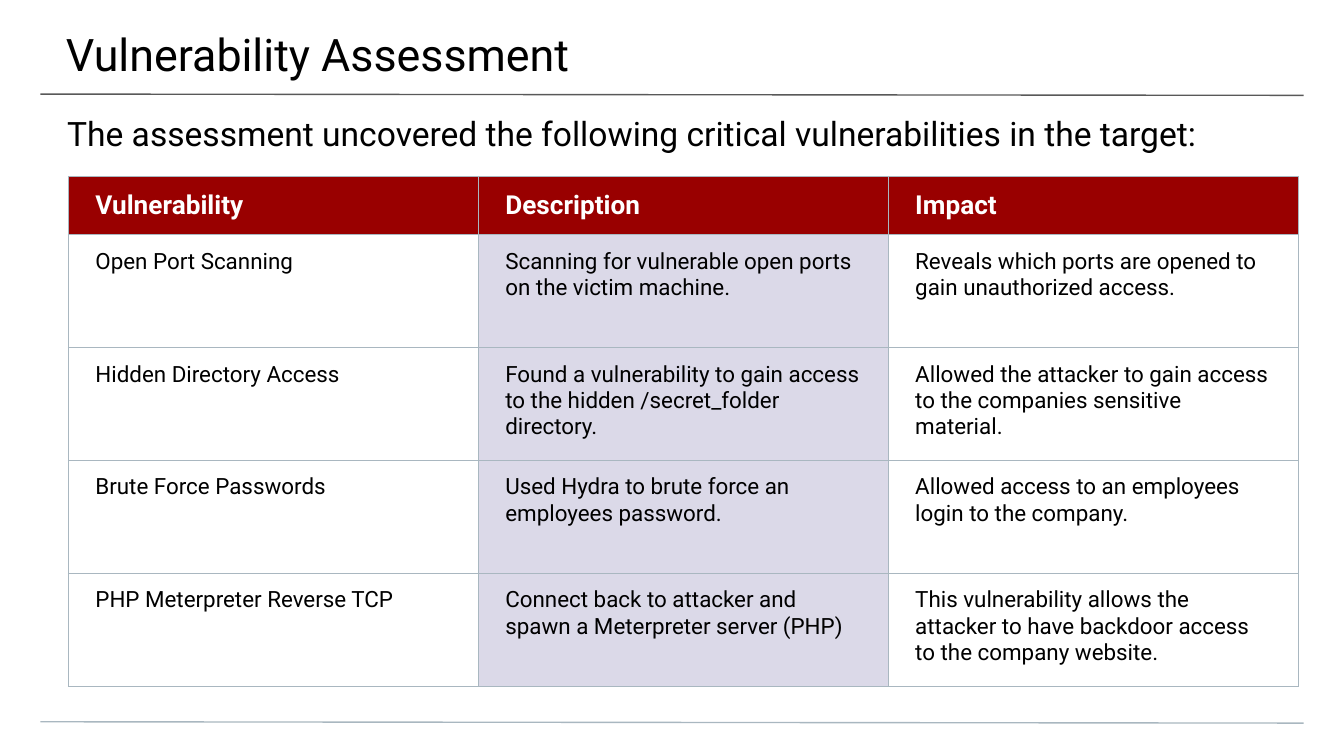
from typing import NamedTuple

from lxml.etree import SubElement
from pptx import Presentation
from pptx.dml.color import RGBColor
from pptx.enum.shapes import MSO_CONNECTOR
from pptx.enum.text import MSO_ANCHOR
from pptx.oxml.ns import qn
from pptx.slide import Slide
from pptx.table import _Cell
from pptx.text.text import _Paragraph
from pptx.util import Pt

FONT = "Roboto"
BLACK = "000000"
WHITE = "FFFFFF"
HEADER_RED = "990000"
LAVENDER = "DBD9E8"
RULE_GREY = "595959"
BORDER_GREY = "A9B7C0"
LINE_WIDTH = Pt(0.75)

COLUMN_WIDTH = 219.6
HEADER_HEIGHT = 31
ROW_HEIGHT = 60.5
DESCRIPTION_COLUMN = 1


class Heading(NamedTuple):
    text: str
    left: float
    top: float
    width: float
    height: float
    margins: tuple[float, float, float, float]
    size: float


class Rule(NamedTuple):
    top: float
    color: str


class Finding(NamedTuple):
    vulnerability: str
    description: str
    impact: str


HEADINGS = [
    Heading("Vulnerability Assessment", -0.7, 0, 722, 42, (36, 14.4, 21.6, 7.2), 24),
    Heading("The assessment uncovered the following critical vulnerabilities in the target:",
            0, 53.5, 720, 29, (36, 7.2, 36, 0), 18),
]
RULES = [Rule(50.4, RULE_GREY), Rule(386.7, BORDER_GREY)]
COLUMN_TITLES = Finding("Vulnerability", "Description", "Impact")
FINDINGS = [
    Finding("Open Port Scanning",
            "Scanning for vulnerable open ports on the victim machine.",
            "Reveals which ports are opened to gain unauthorized access."),
    Finding("Hidden Directory Access",
            "Found a vulnerability to gain access to the hidden /secret_folder directory.",
            "Allowed the attacker to gain access to the companies sensitive material."),
    Finding("Brute Force Passwords",
            "Used Hydra to brute force an employees password.",
            "Allowed access to an employees login to the company."),
    Finding("PHP Meterpreter Reverse TCP",
            "Connect back to attacker and spawn a Meterpreter server (PHP)",
            "This vulnerability allows the attacker to have backdoor access "
            "to the company website."),
]


def rgb(color: str) -> RGBColor:
    return RGBColor.from_string(color)


def write(paragraph: _Paragraph, text: str, size: float, color: str = BLACK,
          bold: bool = False) -> None:
    paragraph.text = text
    font = paragraph.font
    font.name, font.size, font.bold = FONT, Pt(size), bold
    font.color.rgb = rgb(color)


def draw_heading(slide: Slide, heading: Heading) -> None:
    box = slide.shapes.add_textbox(Pt(heading.left), Pt(heading.top),
                                   Pt(heading.width), Pt(heading.height))
    frame = box.text_frame
    frame.word_wrap = True
    frame.vertical_anchor = MSO_ANCHOR.TOP
    (frame.margin_left, frame.margin_top,
     frame.margin_right, frame.margin_bottom) = map(Pt, heading.margins)
    write(frame.paragraphs[0], heading.text, heading.size)


def draw_rule(slide: Slide, rule: Rule) -> None:
    """Draw a page-wide line that falls slightly to the right."""
    line = slide.shapes.add_connector(MSO_CONNECTOR.STRAIGHT, Pt(21.6), Pt(rule.top),
                                      Pt(698.4), Pt(rule.top + 0.7))
    line.line.color.rgb = rgb(rule.color)
    line.line.width = LINE_WIDTH
    SubElement(line._element.spPr, qn("a:effectLst"))


def add_borders(cell: _Cell) -> None:
    properties = cell._tc.get_or_add_tcPr()
    for side in ("lnL", "lnR", "lnT", "lnB"):
        border = SubElement(properties, qn(f"a:{side}"), w=str(LINE_WIDTH))
        fill = SubElement(border, qn("a:solidFill"))
        SubElement(fill, qn("a:srgbClr"), val=BORDER_GREY)


def format_cell(cell: _Cell, text: str, is_header: bool, fill_color: str | None) -> None:
    cell.margin_left = cell.margin_right = Pt(14.4)
    cell.margin_top = cell.margin_bottom = Pt(7.2)
    cell.vertical_anchor = MSO_ANCHOR.MIDDLE if is_header else MSO_ANCHOR.TOP
    add_borders(cell)
    if fill_color:
        cell.fill.solid()
        cell.fill.fore_color.rgb = rgb(fill_color)
    else:
        cell.fill.background()
    write(cell.text_frame.paragraphs[0], text, 14 if is_header else 12,
          WHITE if is_header else BLACK, is_header)


def draw_findings(slide: Slide, findings: list[Finding]) -> None:
    rows = [COLUMN_TITLES, *findings]
    column_count = len(COLUMN_TITLES)
    table = slide.shapes.add_table(
        len(rows), column_count, Pt(36.7), Pt(94.6), Pt(COLUMN_WIDTH * column_count),
        Pt(HEADER_HEIGHT + ROW_HEIGHT * len(findings))).table
    for column in table.columns:
        column.width = Pt(COLUMN_WIDTH)
    for row_index, texts in enumerate(rows):
        is_header = row_index == 0
        table.rows[row_index].height = Pt(HEADER_HEIGHT if is_header else ROW_HEIGHT)
        for column_index, text in enumerate(texts):
            body_color = LAVENDER if column_index == DESCRIPTION_COLUMN else None
            format_cell(table.cell(row_index, column_index), text, is_header,
                        HEADER_RED if is_header else body_color)


def main() -> None:
    presentation = Presentation()
    presentation.slide_width = Pt(720)
    presentation.slide_height = Pt(405)
    slide = presentation.slides.add_slide(presentation.slide_layouts[6])
    for rule in RULES:
        draw_rule(slide, rule)
    for heading in HEADINGS:
        draw_heading(slide, heading)
    draw_findings(slide, FINDINGS)
    presentation.save("out.pptx")


if __name__ == "__main__":
    main()
